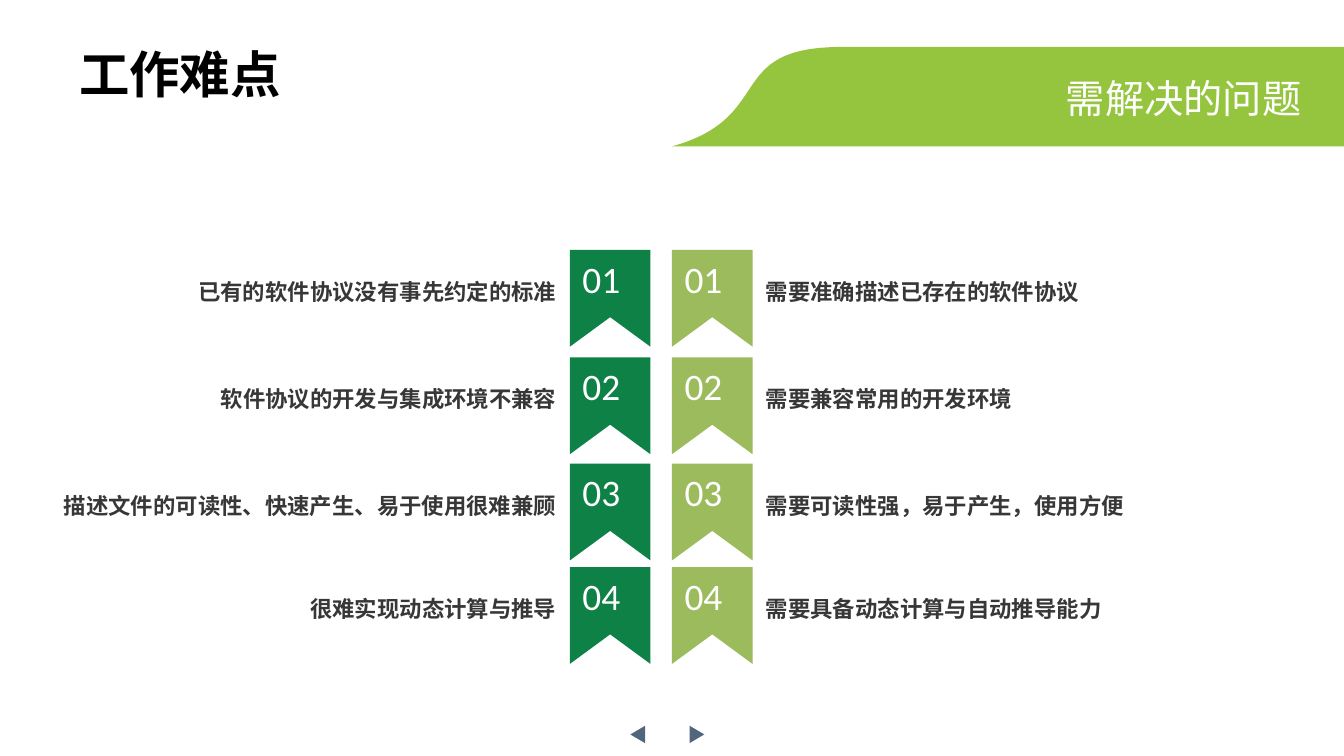
from pptx import Presentation
from pptx.dml.color import RGBColor
from pptx.enum.shapes import MSO_SHAPE
from pptx.enum.text import MSO_ANCHOR, MSO_AUTO_SIZE, PP_ALIGN
from pptx.util import Inches, Pt

TRIANGLE = MSO_SHAPE.ISOSCELES_TRIANGLE
LEFT, CENTER, RIGHT = PP_ALIGN.LEFT, PP_ALIGN.CENTER, PP_ALIGN.RIGHT
MIDDLE = MSO_ANCHOR.MIDDLE
FIT_SHAPE = MSO_AUTO_SIZE.SHAPE_TO_FIT_TEXT

# Widescreen, 16:9
SLIDE_WIDTH = 10
SLIDE_HEIGHT = SLIDE_WIDTH * 9 / 16
FONT = "Calibri"
COLORS = {
    "banner": "95C53E",
    "problem": "0E8146",
    "need": "9BBB5C",
    "arrow": "52657E",
    "title": "000000",
    "label": "373737",
    "white": "FFFFFF",
}

# Two columns of ribbons with labels on their outer sides
ROW_TOPS = [1.86, 2.66, 3.45, 4.22]
RIBBON_WIDTH, RIBBON_HEIGHT, NOTCH = 0.6, 0.72, 0.22
PROBLEM_LEFT, NEED_LEFT = 4.24, SLIDE_WIDTH / 2
LABEL_DROP, LABEL_HEIGHT = 0.16, 0.3

# Label text and box width for each row
PROBLEMS = [
    ("已有的软件协议没有事先约定的标准", 3.17),
    ("软件协议的开发与集成环境不兼容", 3.25),
    ("描述文件的可读性、快速产生、易于使用很难兼顾", 3.96),
    ("很难实现动态计算与推导", 3.96),
]
NEEDS = [
    ("需要准确描述已存在的软件协议", 2.72),
    ("需要兼容常用的开发环境", 2.72),
    ("需要可读性强，易于产生，使用方便", 3.26),
    ("需要具备动态计算与自动推导能力", 3.26),
]


def color(name):
    return RGBColor.from_string(COLORS[name])


def paint(shape, fill):
    shape.shadow.inherit = False
    shape.fill.solid()
    shape.fill.fore_color.rgb = color(fill)
    shape.line.fill.background()


def add_run(paragraph, text, size, ink, bold=False, align=LEFT):
    paragraph.alignment = align
    run = paragraph.add_run()
    run.text = text
    run.font.name = FONT
    run.font.size = Pt(size)
    run.font.bold = bold
    run.font.color.rgb = color(ink)


def add_text(slide, box, text, size, ink, bold=False, align=LEFT, wrap=True):
    shape = slide.shapes.add_textbox(*map(Inches, box))
    frame = shape.text_frame
    frame.word_wrap = wrap
    frame.auto_size = FIT_SHAPE
    add_run(frame.paragraphs[0], text, size, ink, bold, align)


def add_outline(slide, points, fill):
    corners = [(Inches(x), Inches(y)) for x, y in points]
    builder = slide.shapes.build_freeform(*corners[0], scale=1.0)
    builder.add_line_segments(corners[1:], close=True)
    shape = builder.convert_to_shape()
    paint(shape, fill)
    return shape


def curve(start, control_1, control_2, end, steps=40):
    """Points along a cubic Bezier curve."""
    points = []
    for step in range(steps + 1):
        t = step / steps
        weights = ((1 - t) ** 3, 3 * t * (1 - t) ** 2, 3 * t ** 2 * (1 - t), t ** 3)
        points.append(tuple(
            sum(weight * value for weight, value in zip(weights, values))
            for values in zip(start, control_1, control_2, end)
        ))
    return points


def add_banner(slide):
    top, bottom = 0.35, 1.09
    edge = curve((SLIDE_WIDTH / 2, bottom), (5.79, 0.87), (5.37, 0.34), (6.29, top))
    add_outline(slide, edge + [(SLIDE_WIDTH, top), (SLIDE_WIDTH, bottom)], "banner")
    add_text(slide, (7.81, 0.5, 1.97, 0.45), "需解决的问题", 21, "white",
             align=RIGHT)


def add_ribbon(slide, left, top, number, fill):
    right, bottom = left + RIBBON_WIDTH, top + RIBBON_HEIGHT
    shape = add_outline(slide, [
        (left, top), (right, top), (right, bottom),
        (left + RIBBON_WIDTH / 2, bottom - NOTCH), (left, bottom),
    ], fill)
    frame = shape.text_frame
    frame.word_wrap = False
    frame.vertical_anchor = MIDDLE
    frame.margin_left = frame.margin_top = 0
    frame.margin_right, frame.margin_bottom = Inches(0.13), Inches(0.3)
    add_run(frame.paragraphs[0], f"{number:02d}", 20, "white", align=CENTER)


def add_column(slide, rows, ribbon_left, fill, align):
    for number, (top, (text, width)) in enumerate(zip(ROW_TOPS, rows), start=1):
        add_ribbon(slide, ribbon_left, top, number, fill)
        if align == RIGHT:
            label_left = ribbon_left - width
        else:
            label_left = ribbon_left + RIBBON_WIDTH
        add_text(slide, (label_left, top + LABEL_DROP, width, LABEL_HEIGHT),
                 text, 12, "label", bold=True, align=align)


def add_page_arrow(slide, left, rotation):
    shape = slide.shapes.add_shape(
        TRIANGLE, Inches(left), Inches(5.41), Inches(0.13), Inches(0.11))
    shape.rotation = rotation
    paint(shape, "arrow")


def main():
    presentation = Presentation()
    presentation.slide_width = Inches(SLIDE_WIDTH)
    presentation.slide_height = Inches(SLIDE_HEIGHT)
    slide = presentation.slides.add_slide(presentation.slide_layouts[6])

    # Page arrows
    add_page_arrow(slide, 5.12, 90)
    add_page_arrow(slide, 4.68, 270)

    # Heading
    add_banner(slide)
    add_text(slide, (0.49, 0.27, 1.72, 0.56), "工作难点", 27, "title",
             bold=True, wrap=False)

    # Problems on the left, needs on the right
    add_column(slide, PROBLEMS, PROBLEM_LEFT, "problem", RIGHT)
    add_column(slide, NEEDS, NEED_LEFT, "need", LEFT)

    presentation.save("out.pptx")


if __name__ == "__main__":
    main()
